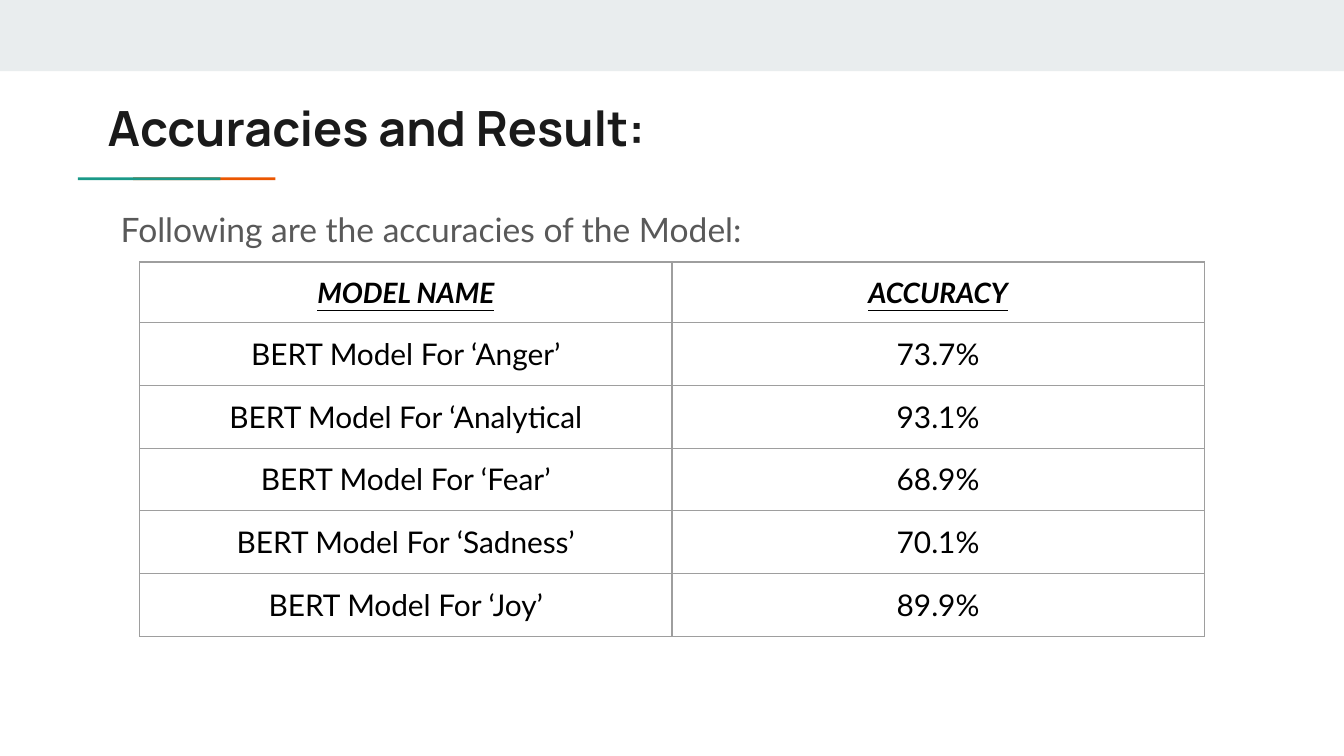
import dataclasses
import typing

import pptx
import pptx.dml.color
import pptx.enum.shapes
import pptx.enum.text
import pptx.oxml
import pptx.oxml.ns
import pptx.util

Inches = pptx.util.Inches
Align = pptx.enum.text.PP_ALIGN


@dataclasses.dataclass(frozen=True)
class Theme:
    band: str = "E9EDEE"
    orange: str = "EB5600"
    green: str = "1A9988"
    title: str = "1A1A1A"
    body: str = "595959"
    ink: str = "000000"
    rule: str = "9E9E9E"
    head_font: str = "Manrope"
    font: str = "Lato"
    title_size: float = 26
    body_size: float = 18
    head_size: float = 15
    cell_size: float = 16
    rule_width: float = 0.75


class Bar(typing.NamedTuple):
    left: float
    top: float
    width: float
    height: float
    color: str


class Score(typing.NamedTuple):
    model: str
    rate: str


THEME = Theme()
BARS = [
    Bar(0, 0, 10, 0.53, THEME.band),
    Bar(0.99, 1.32, 1.06, 0.02, THEME.orange),
    Bar(0.58, 1.32, 1.06, 0.02, THEME.green),
]
SCORES = [
    Score("MODEL NAME", "ACCURACY"),
    Score("BERT Model For ‘Anger’", "73.7%"),
    Score("BERT Model For ‘Analytical", "93.1%"),
    Score("BERT Model For ‘Fear’", "68.9%"),
    Score("BERT Model For ‘Sadness’", "70.1%"),
    Score("BERT Model For ‘Joy’", "89.9%"),
]


def rgb(color: str) -> pptx.dml.color.RGBColor:
    return pptx.dml.color.RGBColor.from_string(color)


def write(frame, text: str, *, size: float, color: str, font: str = THEME.font,
          bold: bool = False, italic: bool = False, line: bool = False,
          align=Align.LEFT, space: float = 1.0) -> None:
    para = frame.paragraphs[0]
    para.alignment = align
    para.line_spacing = space
    run = para.add_run()
    run.text = text
    style = run.font
    style.name = font
    style.size = pptx.util.Pt(size)
    style.bold = bold
    style.italic = italic
    style.underline = line
    style.color.rgb = rgb(color)


def pad(item) -> None:
    item.margin_left = item.margin_right = Inches(0.1)
    item.margin_top = item.margin_bottom = Inches(0.1)
    item.vertical_anchor = pptx.enum.text.MSO_ANCHOR.TOP


def draw_bar(slide, bar: Bar) -> None:
    shape = slide.shapes.add_shape(
        pptx.enum.shapes.MSO_SHAPE.RECTANGLE,
        Inches(bar.left), Inches(bar.top), Inches(bar.width), Inches(bar.height))
    shape.shadow.inherit = False
    shape.fill.solid()
    shape.fill.fore_color.rgb = rgb(bar.color)
    shape.line.fill.background()


def draw_title(slide, text: str) -> None:
    title = slide.shapes.title
    title.left, title.top = Inches(0.7), Inches(0.63)
    title.width, title.height = Inches(8.41), Inches(0.59)
    frame = title.text_frame
    frame.auto_size = pptx.enum.text.MSO_AUTO_SIZE.NONE
    frame.word_wrap = True
    pad(frame)
    write(frame, text, size=THEME.title_size, color=THEME.title,
          font=THEME.head_font, bold=True)


def draw_intro(slide, text: str) -> None:
    frame = slide.shapes.add_textbox(
        Inches(0.8), Inches(1.41), Inches(8.41), Inches(2.47)).text_frame
    frame.word_wrap = True
    pad(frame)
    write(frame, text, size=THEME.body_size, color=THEME.body, space=1.15)


def add_rules(cell) -> None:
    props = cell._tc.get_or_add_tcPr()
    width = pptx.util.Pt(THEME.rule_width)
    for index, side in enumerate(("lnL", "lnR", "lnT", "lnB")):
        props.insert(index, pptx.oxml.parse_xml(
            f'<a:{side} {pptx.oxml.ns.nsdecls("a")} w="{width}">'
            f'<a:solidFill><a:srgbClr val="{THEME.rule}"/></a:solidFill>'
            f'</a:{side}>'))


def draw_table(slide, scores: list[Score]) -> None:
    rows, cols = len(scores), len(Score._fields)
    table = slide.shapes.add_table(
        rows, cols, Inches(1.04), Inches(1.95),
        Inches(3.96 * cols), Inches(0.33 * rows)).table
    table.first_row = False
    table.horz_banding = False
    for row, score in enumerate(scores):
        head = row == 0
        size = THEME.head_size if head else THEME.cell_size
        for col, text in enumerate(score):
            cell = table.cell(row, col)
            cell.fill.background()
            pad(cell)
            write(cell.text_frame, text, size=size, color=THEME.ink, bold=head,
                  italic=head, line=head, align=Align.CENTER)
            add_rules(cell)


def main() -> None:
    deck = pptx.Presentation()
    deck.slide_width = Inches(10)
    deck.slide_height = deck.slide_width * 9 // 16
    slide = deck.slides.add_slide(deck.slide_layouts.get_by_name("Title Only"))
    for bar in BARS:
        draw_bar(slide, bar)
    draw_title(slide, "Accuracies and Result:")
    draw_intro(slide, "Following are the accuracies of the Model:")
    draw_table(slide, SCORES)
    deck.save("out.pptx")


if __name__ == "__main__":
    main()
